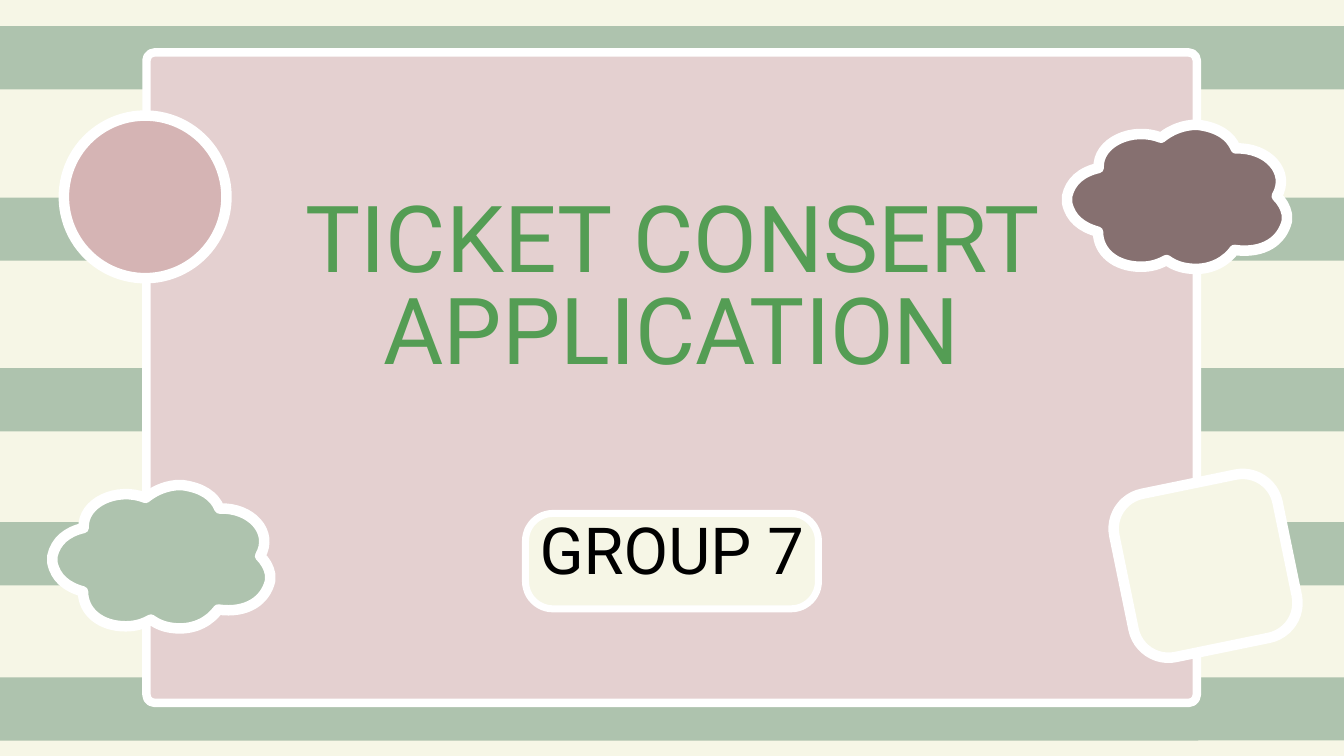
import lxml.etree
import pptx
import pptx.dml.color
import pptx.enum.shapes
import pptx.enum.text
import pptx.oxml.ns
import pptx.util

Inches = pptx.util.Inches
SHAPES = pptx.enum.shapes.MSO_SHAPE
qn = pptx.oxml.ns.qn

CREAM, SAGE, PINK, ROSE = "F6F6E6", "AEC3AE", "E4D0D0", "D5B4B4"
BROWN, GREEN, BLACK, WHITE = "867070", "549D54", "000000", "FFFFFF"

STRIPE_TOPS = (0.39, 2.94, 5.48, 7.77, 10.08)

# Cloud outline: a start point, then two controls and an end point per curve.
CLOUD_SIZE = (3.27, 2.14)
CLOUD_START = (1.86, 0)
CLOUD_CURVES = (
    ((1.89, 0), (1.93, 0), (1.96, 0)),
    ((2.25, 0.04), (2.43, 0.16), (2.51, 0.35)),
    ((2.98, 0.33), (3.33, 0.7), (3.12, 1.06)),
    ((3.19, 1.13), (3.25, 1.22), (3.27, 1.33)),
    ((3.27, 1.37), (3.27, 1.4), (3.27, 1.43)),
    ((3.2, 1.72), (2.93, 1.92), (2.49, 1.86)),
    ((2.38, 2.01), (2.17, 2.16), (1.86, 2.14)),
    ((1.69, 2.13), (1.58, 2.08), (1.48, 2.01)),
    ((1.37, 2.07), (1.26, 2.11), (1.1, 2.11)),
    ((0.72, 2.11), (0.46, 1.89), (0.46, 1.59)),
    ((0.21, 1.52), (0.05, 1.39), (0, 1.16)),
    ((0, 1.13), (0, 1.1), (0, 1.06)),
    ((0.05, 0.84), (0.21, 0.7), (0.47, 0.64)),
    ((0.45, 0.26), (0.97, 0.02), (1.4, 0.19)),
    ((1.5, 0.11), (1.65, 0.02), (1.86, 0)),
)


def color(value):
    return pptx.dml.color.RGBColor.from_string(value)


def paint(shape, fill, border=0):
    """Fill a shape and give it a white border of the given points."""
    shape.shadow.inherit = False
    shape.fill.solid()
    shape.fill.fore_color.rgb = color(fill)
    if border:
        shape.line.color.rgb = color(WHITE)
        shape.line.width = pptx.util.Pt(border)
    else:
        shape.line.fill.background()


def add_rounded(page, box, radius, fill, border=0):
    shape = page.shapes.add_shape(SHAPES.ROUNDED_RECTANGLE, *map(Inches, box))
    shape.adjustments[0] = radius / min(box[2:])
    paint(shape, fill, border)
    return shape


def bend_lines(shape, curves):
    """Turn each straight segment of a freeform into a cubic curve."""
    lines = list(shape.element.iter(qn("a:lnTo")))
    for line, points in zip(lines, curves):
        curve = lxml.etree.Element(qn("a:cubicBezTo"))
        for x, y in points:
            lxml.etree.SubElement(curve, qn("a:pt"), x=str(x), y=str(y))
        line.getparent().replace(line, curve)


def add_cloud(page, box, fill):
    left, top, width, height = box

    def scale(point):
        return (Inches(point[0] * width / CLOUD_SIZE[0]),
                Inches(point[1] * height / CLOUD_SIZE[1]))

    curves = [[scale(point) for point in curve] for curve in CLOUD_CURVES]
    builder = page.shapes.build_freeform(*scale(CLOUD_START))
    builder.add_line_segments([curve[-1] for curve in curves], close=True)
    cloud = builder.convert_to_shape(Inches(left), Inches(top))
    bend_lines(cloud, curves)
    paint(cloud, fill, 11.25)


def add_text(page, box, text, size, spacing, fill):
    frame = page.shapes.add_textbox(*map(Inches, box)).text_frame
    frame.word_wrap = True
    frame.margin_left = frame.margin_right = 0
    frame.margin_top = frame.margin_bottom = 0
    frame.text = text
    para = frame.paragraphs[0]
    para.alignment = pptx.enum.text.PP_ALIGN.CENTER
    para.line_spacing = pptx.util.Pt(spacing)
    font = para.runs[0].font
    font.name = "Roboto"
    font.size = pptx.util.Pt(size)
    font.color.rgb = color(fill)


def add_stripes(page, left, width):
    for top in STRIPE_TOPS:
        add_rounded(page, (left, top, width, 0.94), 0.08, SAGE)


def add_circle(page, box):
    circle = page.shapes.add_shape(SHAPES.OVAL, *map(Inches, box))
    circle.rotation = 10.2
    paint(circle, ROSE, 11.25)


def add_tilted_square(page, box):
    square = add_rounded(page, box, 0.53, CREAM, 11.25)
    square.rotation = 348.4


def build_cover(deck):
    page = deck.slides.add_slide(deck.slide_layouts[6])
    page.background.fill.solid()
    page.background.fill.fore_color.rgb = color(CREAM)
    add_stripes(page, -0.48, 21.3)
    add_rounded(page, (2.18, 0.78, 15.63, 9.68), 0.12, PINK, 9)
    add_tilted_square(page, (16.7, 7.18, 2.48, 2.48))
    add_circle(page, (0.95, 1.72, 2.42, 2.42))
    add_text(page, (4.39, 2.97, 11.22, 4.14), "TICKET CONSERT APPLICATION",
             99.1, 98.1, GREEN)
    add_rounded(page, (7.82, 7.64, 4.36, 1.42), 0.41, CREAM, 7.5)
    add_cloud(page, (15.88, 1.86, 3.27, 2.14), BROWN)
    add_cloud(page, (0.78, 7.22, 3.24, 2.13), SAGE)
    add_text(page, (7.65, 7.78, 4.69, 0.99), "GROUP 7", 69.5, 68.8, BLACK)


def main():
    deck = pptx.Presentation()
    deck.slide_width = Inches(20)
    deck.slide_height = Inches(11.25)
    build_cover(deck)
    deck.save("out.pptx")


if __name__ == "__main__":
    main()
